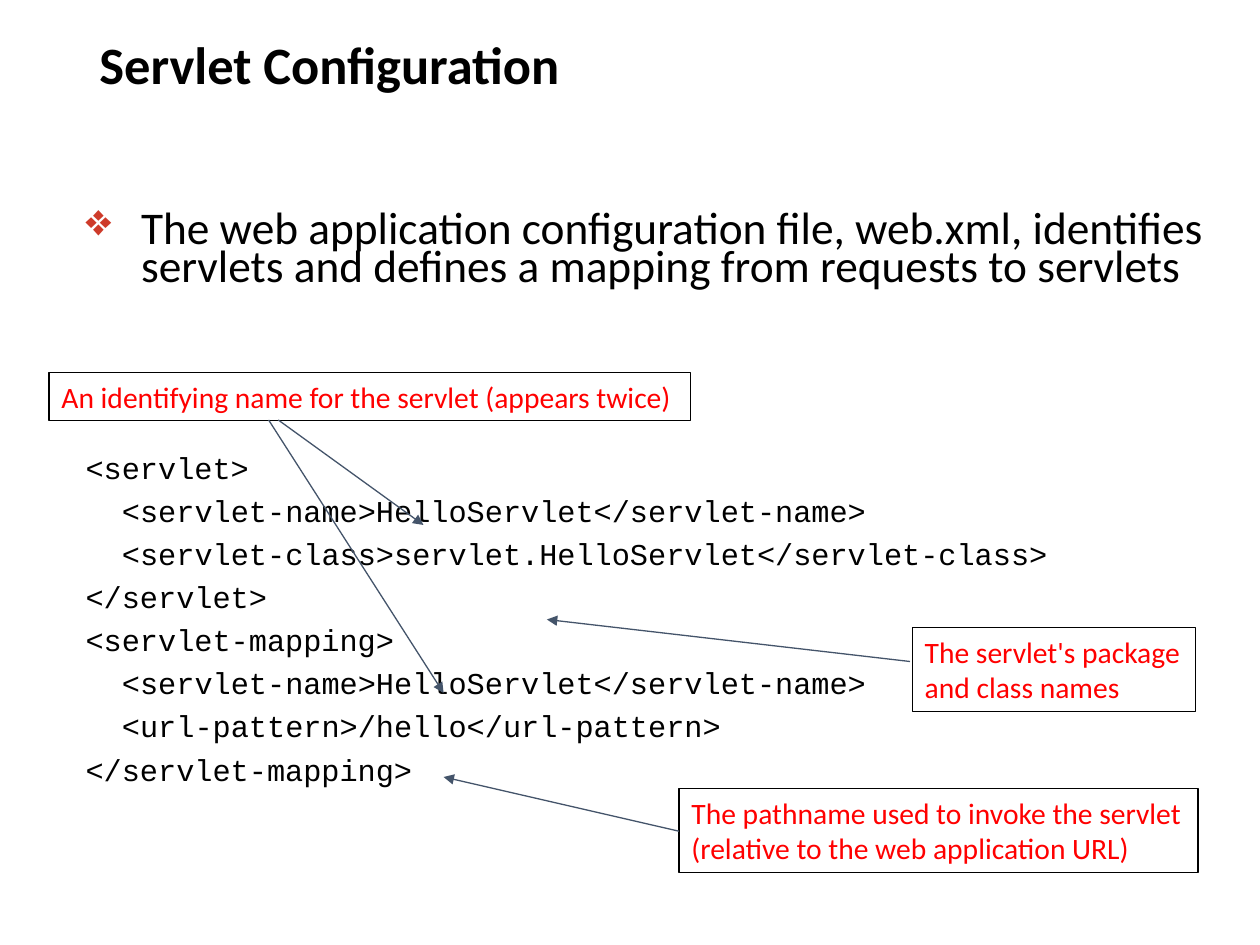
"""Build the Servlet Configuration slide."""
from lxml.etree import SubElement
from pptx import Presentation
from pptx.dml.color import RGBColor
from pptx.enum.shapes import MSO_CONNECTOR as CONN, MSO_SHAPE as SHAPE
from pptx.enum.text import MSO_ANCHOR as ANCHOR, PP_ALIGN as ALIGN
from pptx.oxml.ns import qn
from pptx.util import Pt

BLACK = RGBColor(0x00, 0x00, 0x00)
RED = RGBColor(0xFF, 0x00, 0x00)
SLATE = RGBColor(0x44, 0x54, 0x6A)
BULLET_RED = RGBColor(0xCE, 0x3B, 0x2A)
BODY, MONO = "Calibri", "Courier New"
CODE_INDENT = 20.8
CODE = [
    (0, "<servlet>"),
    (1, "<servlet-name>HelloServlet</servlet-name>"),
    (1, "<servlet-class>servlet.HelloServlet</servlet-class>"),
    (0, "</servlet>"),
    (0, "<servlet-mapping>"),
    (1, "<servlet-name>HelloServlet</servlet-name>"),
    (1, "<url-pattern>/hello</url-pattern>"),
    (0, "</servlet-mapping>"),
]
CALLOUTS = [
    (28, 213, 366.5, 27.5, "An identifying name for the servlet (appears twice)"),
    (521.3, 358.5, 162, 48, "The servlet's package\nand class names"),
    (388, 450.5, 296.6, 48, "The pathname used to invoke the servlet\n(relative to the web application URL)"),
]
ARROWS = [
    (159, 240, 242, 300),
    (520, 378, 312.5, 354),
    (388, 475, 253.5, 444),
    (153.5, 240, 253.5, 396),
]


def style_text(tf, font, size, color, bold=False):
    """Format every run of a text frame."""
    for p in tf.paragraphs:
        p.alignment = ALIGN.LEFT
        for r in p.runs:
            r.font.name, r.font.size, r.font.bold = font, Pt(size), bold
            r.font.color.rgb = color


def add_text(s, x, y, w, h, text):
    """Add a wrapping text box and return its text frame."""
    tf = s.shapes.add_textbox(Pt(x), Pt(y), Pt(w), Pt(h)).text_frame
    tf.word_wrap = True
    tf.text = text
    return tf


def add_title(s, text):
    """Add the slide heading."""
    tf = add_text(s, 49.7, 9.4, 620.6, 58.3, text)
    tf.vertical_anchor = ANCHOR.MIDDLE
    tf.paragraphs[0].line_spacing = 0.9
    style_text(tf, BODY, 30, BLACK, True)


def add_bullet(s, text):
    """Add the introductory bullet point."""
    tf = add_text(s, 41.8, 118.8, 655.9, 60, text)
    p = tf.paragraphs[0]
    p.line_spacing, p.space_before = 0.7, Pt(10)
    style_text(tf, BODY, 25.9, BLACK)
    pPr = p._p.get_or_add_pPr()
    pPr.set("marL", str(Pt(31.7)))
    pPr.set("indent", str(-Pt(31.7)))
    clr = SubElement(SubElement(pPr, qn("a:buClr")), qn("a:srgbClr"))
    clr.set("val", str(BULLET_RED))
    SubElement(pPr, qn("a:buChar")).set("char", "❖")


def add_code(s, lines):
    """Add the code listing, indented by level."""
    tf = add_text(s, 41.8, 249.6, 655.9, 204, "\n".join(t for _, t in lines))
    for p, (level, _) in zip(tf.paragraphs, lines):
        p.line_spacing = Pt(24.57)
        p._p.get_or_add_pPr().set("marL", str(Pt(level * CODE_INDENT)))
    style_text(tf, MONO, 17.3, BLACK)


def add_callout(s, x, y, w, h, text):
    """Add an outlined explanatory label."""
    sp = s.shapes.add_shape(SHAPE.RECTANGLE, Pt(x), Pt(y), Pt(w), Pt(h))
    sp.shadow.inherit = False
    sp.fill.background()
    sp.line.color.rgb, sp.line.width = BLACK, Pt(0.75)
    tf = sp.text_frame
    tf.word_wrap = False
    tf.vertical_anchor = ANCHOR.TOP
    tf.text = text
    style_text(tf, BODY, 16.9, RED)


def add_arrow(s, *ends):
    """Add a thin line with an arrowhead at its end."""
    c = s.shapes.add_connector(CONN.STRAIGHT, *map(Pt, ends))
    c.line.color.rgb, c.line.width = SLATE, Pt(0.75)
    SubElement(c.line._get_or_add_ln(), qn("a:tailEnd")).set("type", "triangle")
    SubElement(c._element.spPr, qn("a:effectLst"))


def main():
    """Assemble and save the slide."""
    prs = Presentation()
    prs.slide_width, prs.slide_height = Pt(720), Pt(540)
    s = prs.slides.add_slide(prs.slide_layouts[6])
    add_title(s, "Servlet Configuration")
    add_bullet(s, "The web application configuration file, web.xml, identifies "
                  "servlets and defines a mapping from requests to servlets")
    add_code(s, CODE)
    for callout in CALLOUTS:
        add_callout(s, *callout)
    for arrow in ARROWS:
        add_arrow(s, *arrow)
    prs.save("out.pptx")


if __name__ == "__main__":
    main()
